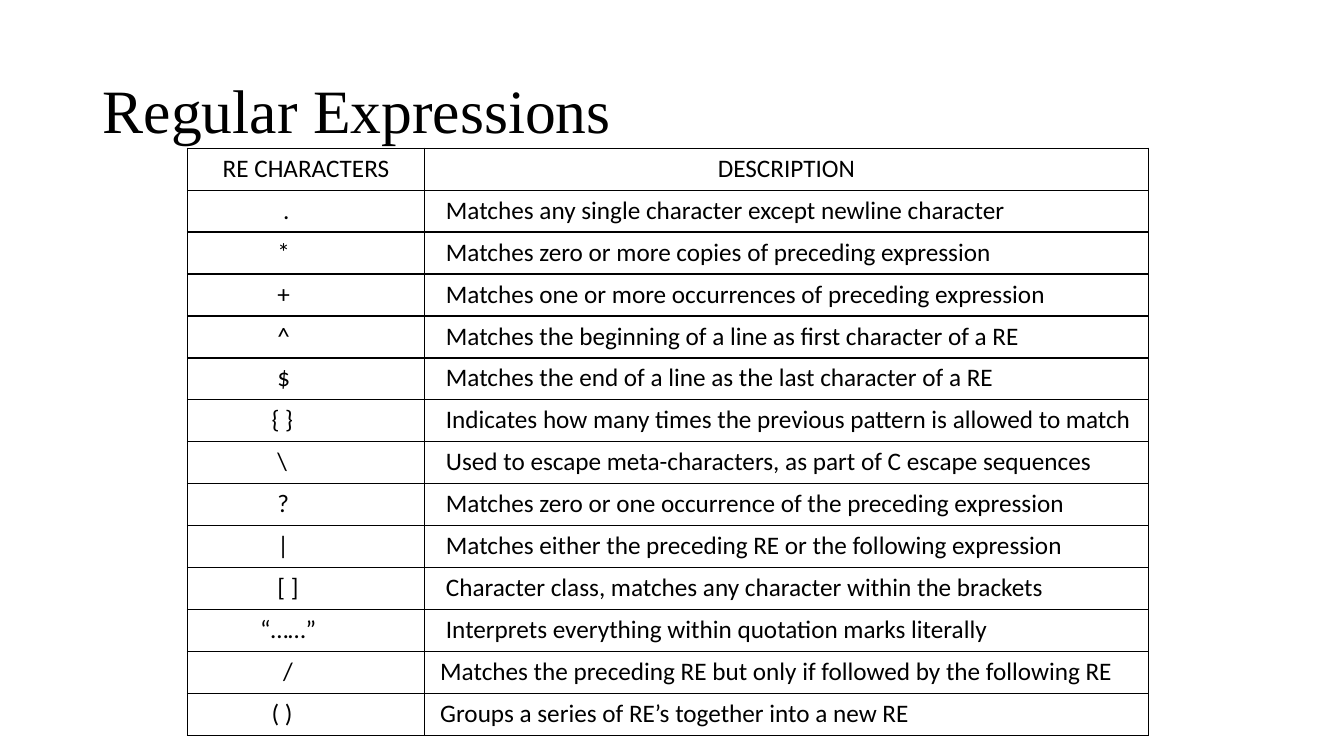
from pptx import Presentation
from pptx.util import Inches, Pt
from pptx.dml.color import RGBColor
from pptx.enum.text import MSO_ANCHOR as Anchor, MSO_AUTO_SIZE as Fit, PP_ALIGN as Align
from pptx.oxml import parse_xml
from pptx.oxml.ns import nsdecls

TITLE = "Regular Expressions"
HEAD = ("RE CHARACTERS", "DESCRIPTION")
ROWS = [
    (".", 15, "Matches any single character except newline character", 2),
    ("*", 14, "Matches zero or more copies of preceding expression", 2),
    ("+", 14, "Matches one or more occurrences of preceding expression", 2),
    ("^", 14, "Matches the beginning of a line as first character of a RE", 2),
    ("$", 14, "Matches the end of a line as the last character of a RE", 2),
    ("{ }", 13, "Indicates how many times the previous pattern is allowed to match", 2),
    ("\\", 14, "Used to escape meta-characters, as part of C escape sequences", 2),
    ("?", 14, "Matches zero or one occurrence of the preceding expression", 2),
    ("|", 14, "Matches either the preceding RE or the following expression", 2),
    ("[ ]", 14, "Character class, matches any character within the brackets", 2),
    ("“……”", 11, "Interprets everything within quotation marks literally", 2),
    ("/", 15, "Matches the preceding RE but only if followed by the following RE", 1),
    ("( )", 13, "Groups a series of RE’s together into a new RE", 1),
]
COLORS = {"ink": "000000"}
WIDTHS = (2.35, 7.18)
HIGH = 5.83
PAD = 0.1
STEP = Pt(18) * 0.226


def style(para, font, size):
    for run in para.runs:
        run.font.name = font
        run.font.size = Pt(size)
        run.font.bold = False
        run.font.color.rgb = RGBColor.from_string(COLORS["ink"])


def border(cell):
    props = cell._tc.get_or_add_tcPr()
    for spot, side in enumerate(("lnL", "lnR", "lnT", "lnB")):
        props.insert(spot, parse_xml(
            f'<a:{side} {nsdecls("a")} w="{Pt(1)}"><a:solidFill>'
            f'<a:srgbClr val="{COLORS["ink"]}"/></a:solidFill></a:{side}>'))


def put(cell, text, steps=0, align=Align.LEFT):
    cell.text = text
    cell.margin_left = Inches(PAD) + int(steps * STEP)
    cell.margin_right = Inches(PAD)
    cell.margin_top = cell.margin_bottom = Inches(0.05)
    cell.vertical_anchor = Anchor.TOP
    cell.fill.background()
    para = cell.text_frame.paragraphs[0]
    para.alignment = align
    style(para, "Calibri", 18)
    border(cell)


deck = Presentation()
deck.slide_width, deck.slide_height = Inches(13.33), Inches(7.5)
slide = deck.slides.add_slide(deck.slide_layouts[5])

title = slide.shapes.title
title.left, title.top = Inches(0.92), Inches(0.4)
title.width, title.height = Inches(11.5), Inches(1.45)
frame = title.text_frame
frame.text = TITLE
frame.auto_size = Fit.NONE
frame.vertical_anchor = Anchor.MIDDLE
para = frame.paragraphs[0]
para.alignment = Align.LEFT
para.line_spacing = 0.9
style(para, "Times New Roman", 44)

count = len(ROWS) + 1
table = slide.shapes.add_table(count, len(HEAD), Inches(1.86), Inches(1.47),
                               Inches(sum(WIDTHS)), Inches(HIGH)).table
table.first_row = table.horz_banding = False
for col, width in zip(table.columns, WIDTHS):
    col.width = Inches(width)
for row in table.rows:
    row.height = Inches(HIGH / count)
for col, text in enumerate(HEAD):
    put(table.cell(0, col), text, align=Align.CENTER)
for row, (sign, shift, note, gap) in enumerate(ROWS, 1):
    put(table.cell(row, 0), sign, shift)
    put(table.cell(row, 1), note, gap)

deck.save("out.pptx")
